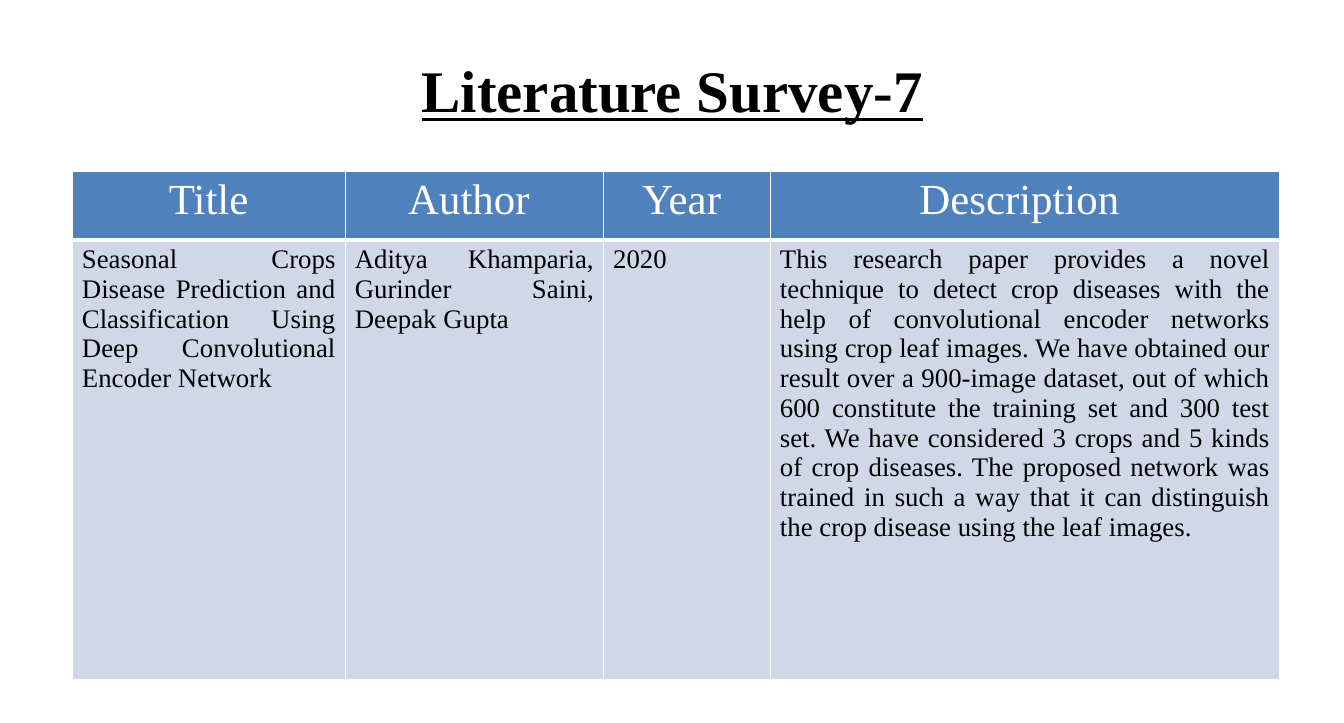
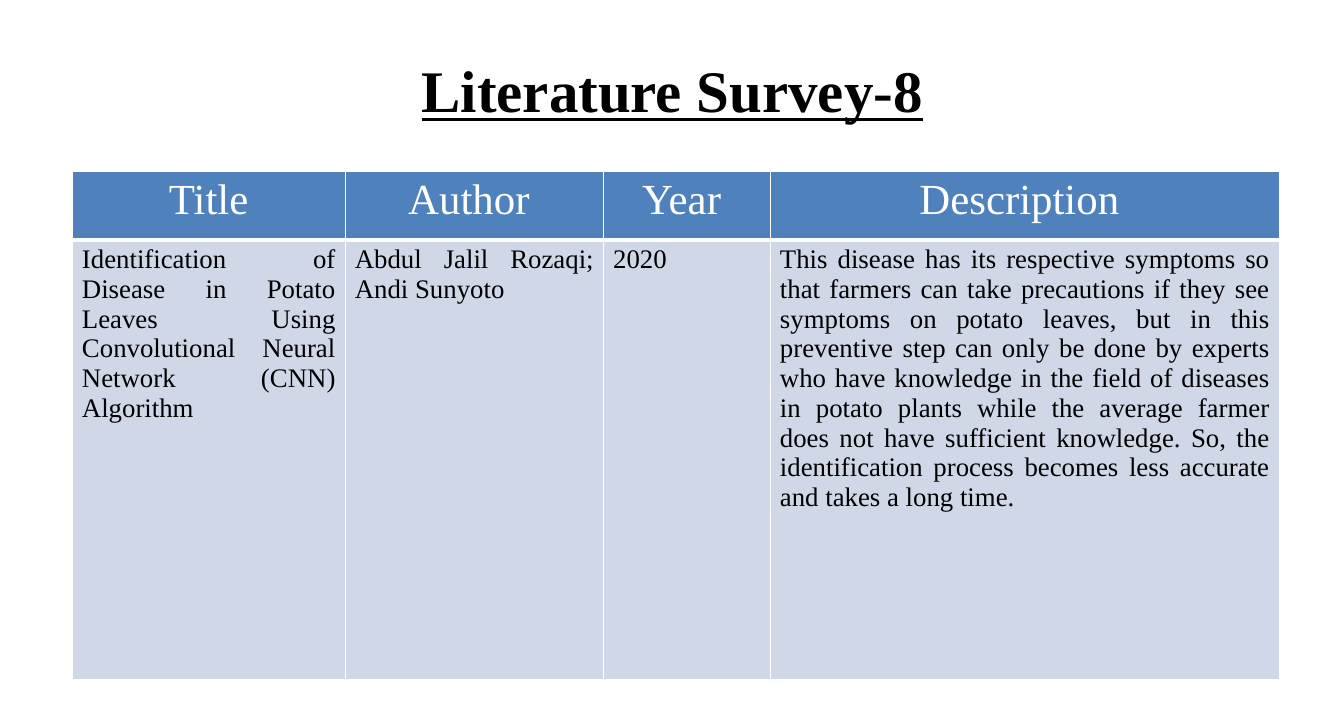
"""Build two literature survey slides, each with a title and a summary table."""
import pptx
import pptx.dml.color
import pptx.enum.text
import pptx.oxml
import pptx.oxml.ns
import pptx.util

Pt = pptx.util.Pt
ALIGN = pptx.enum.text.PP_ALIGN

HEADINGS = ["Title", "Author ", "Year ", "Description "]
SURVEYS = [
    ("Literature Survey-7", [
        "Seasonal Crops Disease Prediction and Classification Using Deep "
        "Convolutional Encoder Network",
        "Aditya Khamparia, Gurinder Saini, Deepak Gupta",
        "2020",
        "This research paper provides a novel technique to detect crop diseases "
        "with the help of convolutional encoder networks using crop leaf images. "
        "We have obtained our result over a 900-image dataset, out of which 600 "
        "constitute the training set and 300 test set. We have considered 3 crops "
        "and 5 kinds of crop diseases. The proposed network was trained in such a "
        "way that it can distinguish the crop disease using the leaf images. ",
    ]),
    ("Literature Survey-8", [
        "Identification of Disease in Potato Leaves Using Convolutional Neural "
        "Network (CNN) Algorithm",
        "Abdul Jalil Rozaqi; Andi Sunyoto",
        "2020",
        "This disease has its respective symptoms so that farmers can take "
        "precautions if they see symptoms on potato leaves, but in this preventive "
        "step can only be done by experts who have knowledge in the field of "
        "diseases in potato plants while the average farmer does not have "
        "sufficient knowledge. So, the identification process becomes less "
        "accurate and takes a long time. ",
    ]),
]

FONT = "Times New Roman"
COLORS = {"ink": "000000", "paper": "FFFFFF", "header": "4F81BD", "body": "D0D8E8"}
SLIDE_SIZE = (1003.68, 540)
TITLE_BOX = (50.4, 21.6, 903.6, 90)
TABLE_ORIGIN = (54, 128.16)
COLUMN_WIDTHS = [203.76, 192.96, 124.56, 380.16]
ROW_HEIGHTS = [51.12, 328.32]
ROW_STYLES = [
    {"fill": "header", "color": "paper", "size": 32, "align": ALIGN.CENTER, "bottom": 3},
    {"fill": "body", "color": "ink", "size": 20, "align": ALIGN.JUSTIFY, "bottom": 1},
]


def rgb(name):
    return pptx.dml.color.RGBColor.from_string(COLORS[name])


def write(frame, text, size, color, align, strong=False):
    para = frame.paragraphs[0]
    para.alignment = align
    span = para.add_run()
    span.text = text
    span.font.name = FONT
    span.font.size = Pt(size)
    span.font.color.rgb = rgb(color)
    span.font.bold = strong
    span.font.underline = strong


def add_borders(cell, bottom):
    properties = cell._tc.get_or_add_tcPr()
    for side, width in (("L", 1), ("R", 1), ("T", 1), ("B", bottom)):
        properties.append(pptx.oxml.parse_xml(
            f'<a:ln{side} {pptx.oxml.ns.nsdecls("a")} w="{Pt(width)}">'
            f'<a:solidFill><a:srgbClr val="{COLORS["paper"]}"/></a:solidFill>'
            f'</a:ln{side}>'))


def add_title(page, text):
    box = page.shapes.add_textbox(*map(Pt, TITLE_BOX))
    frame = box.text_frame
    frame.word_wrap = True
    frame.vertical_anchor = pptx.enum.text.MSO_ANCHOR.MIDDLE
    write(frame, text, 44, "ink", ALIGN.CENTER, strong=True)


def add_survey_table(page, rows):
    size = (sum(COLUMN_WIDTHS), sum(ROW_HEIGHTS))
    table = page.shapes.add_table(
        len(rows), len(HEADINGS), *map(Pt, TABLE_ORIGIN + size)).table
    for column, width in zip(table.columns, COLUMN_WIDTHS):
        column.width = Pt(width)
    for row, height, texts, style in zip(table.rows, ROW_HEIGHTS, rows, ROW_STYLES):
        row.height = Pt(height)
        for cell, text in zip(row.cells, texts):
            add_borders(cell, style["bottom"])
            cell.fill.solid()
            cell.fill.fore_color.rgb = rgb(style["fill"])
            write(cell.text_frame, text, style["size"], style["color"], style["align"])


def main():
    deck = pptx.Presentation()
    deck.slide_width, deck.slide_height = map(Pt, SLIDE_SIZE)
    for title, entry in SURVEYS:
        page = deck.slides.add_slide(deck.slide_layouts[6])
        add_title(page, title)
        add_survey_table(page, [HEADINGS, entry])
    deck.save("out.pptx")


if __name__ == "__main__":
    main()
